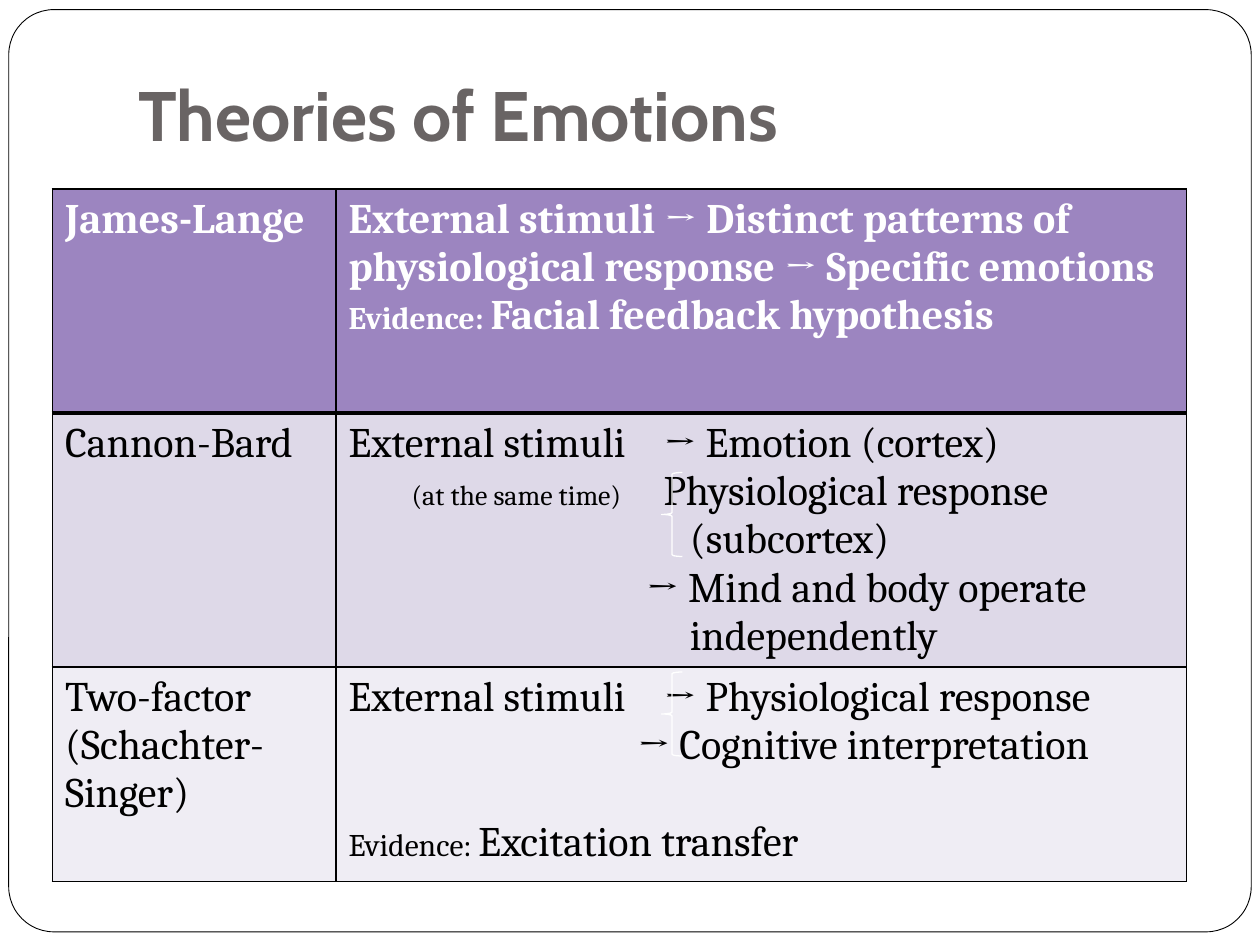
from pptx import Presentation
from pptx.dml.color import RGBColor
from pptx.enum.shapes import MSO_SHAPE
from pptx.enum.text import MSO_ANCHOR
from pptx.util import Pt
from lxml import etree

ROUNDED, BRACE = MSO_SHAPE.ROUNDED_RECTANGLE, MSO_SHAPE.LEFT_BRACE
BOTTOM = MSO_ANCHOR.BOTTOM
NS = "http://schemas.openxmlformats.org/drawingml/2006/main"
C = {"white": "FFFFFF", "black": "000000", "title": "696464",
     "head": "9C85C0", "band1": "DED9E8", "band2": "EFEDF4"}

# Content: a paragraph is (runs, format); a run is (text, size)
TITLE = "Theories of Emotions"
THEORIES = [
    ("James-Lange", [
        ([("External stimuli → Distinct patterns of physiological response"
           " → Specific emotions", 24)], {}),
        ([("Evidence: ", 18), ("Facial feedback hypothesis", 24)], {}),
    ]),
    ("Cannon-Bard", [
        ([("External stimuli\t→ Emotion (cortex)", 24)], {"tabs": [181]}),
        ([("\t(at the same time)\t", 16), ("Physiological response", 24)],
         {"tabs": [47, 203]}),
        ([("(subcortex)", 24)], {"indent": 195}),
        ([("→ Mind and body operate", 24)], {"indent": 170}),
        ([("independently", 24)], {"indent": 195}),
    ]),
    ("Two-factor (Schachter-Singer)", [
        ([("External stimuli\t→ Physiological response", 24)], {"tabs": [181]}),
        ([("→ Cognitive interpretation", 24)], {"indent": 165}),
        ([("Evidence: ", 18), ("Excitation transfer", 24)], {"before": 27.6}),
    ]),
]
# Row height, fill, text colour, bold, top and bottom border widths
ROWS = [(128, "head", "white", True, 1, 3),
        (145, "band1", "black", False, 3, 1),
        (122.5, "band2", "black", False, 1, 1)]
COLS = [162, 486]
BRACE_TOPS = [270, 384]


def rgb(name):
    return RGBColor.from_string(C[name])


def add_text(p, runs, font="Cambria", color="black", bold=False,
             tabs=(), indent=0, before=0):
    """Fill one paragraph with (text, size) runs."""
    p.space_before = Pt(before)
    pPr = p._p.get_or_add_pPr()
    pPr.set("marL", str(Pt(indent)))
    pPr.set("indent", "0")
    if tabs:
        tab_list = etree.SubElement(pPr, f"{{{NS}}}tabLst")
        for pos in tabs:
            etree.SubElement(tab_list, f"{{{NS}}}tab", pos=str(Pt(pos)), algn="l")
    for text, size in runs:
        r = p.add_run()
        r.text = text
        r.font.size, r.font.name, r.font.bold = Pt(size), font, bold
        r.font.color.rgb = rgb(color)


def set_borders(cell, top, bottom):
    tcPr = cell._tc.get_or_add_tcPr()
    widths = (("lnL", 1), ("lnR", 1), ("lnT", top), ("lnB", bottom))
    for i, (side, width) in enumerate(widths):
        ln = etree.Element(f"{{{NS}}}{side}", w=str(Pt(width)))
        fill = etree.SubElement(ln, f"{{{NS}}}solidFill")
        etree.SubElement(fill, f"{{{NS}}}srgbClr", val=C["black"])
        tcPr.insert(i, ln)


def add_outline(kind, box, color, width):
    sp = s.shapes.add_shape(kind, *map(Pt, box))
    sp.shadow.inherit = False
    sp.fill.background()
    sp.line.color.rgb, sp.line.width = rgb(color), Pt(width)
    return sp


prs = Presentation()
prs.slide_width, prs.slide_height = Pt(720), Pt(540)
s = prs.slides.add_slide(prs.slide_layouts[6])

# Frame
frame = add_outline(ROUNDED, (5, 5.5, 710, 527), "black", 0.5)
frame.adjustments[0] = 0.049
frame.fill.solid()
frame.fill.fore_color.rgb = rgb("white")

# Table of theories
tbl = s.shapes.add_table(len(ROWS), len(COLS), Pt(30), Pt(108), Pt(sum(COLS)),
                         Pt(sum(row[0] for row in ROWS))).table
tbl.first_row = tbl.horz_banding = False
for col, width in zip(tbl.columns, COLS):
    col.width = Pt(width)
for i, ((name, paragraphs), row) in enumerate(zip(THEORIES, ROWS)):
    height, fill, color, bold, top, bottom = row
    tbl.rows[i].height = Pt(height)
    for j, content in enumerate(([([(name, 24)], {})], paragraphs)):
        cell = tbl.cell(i, j)
        cell.fill.solid()
        cell.fill.fore_color.rgb = rgb(fill)
        set_borders(cell, top, bottom)
        tf = cell.text_frame
        for k, (runs, layout) in enumerate(content):
            p = tf.add_paragraph() if k else tf.paragraphs[0]
            add_text(p, runs, color=color, bold=bold, **layout)

# Title
tf = s.shapes.add_textbox(Pt(72), Pt(6), Pt(612), Pt(90)).text_frame
tf.word_wrap, tf.vertical_anchor = True, BOTTOM
tf.margin_bottom = Pt(7.2)
add_text(tf.paragraphs[0], [(TITLE, 40)], font="Cabin", color="title", bold=True)

# Braces
for top in BRACE_TOPS:
    add_outline(BRACE, (378, top, 12, 48), "white", 0.75)

prs.save("out.pptx")
